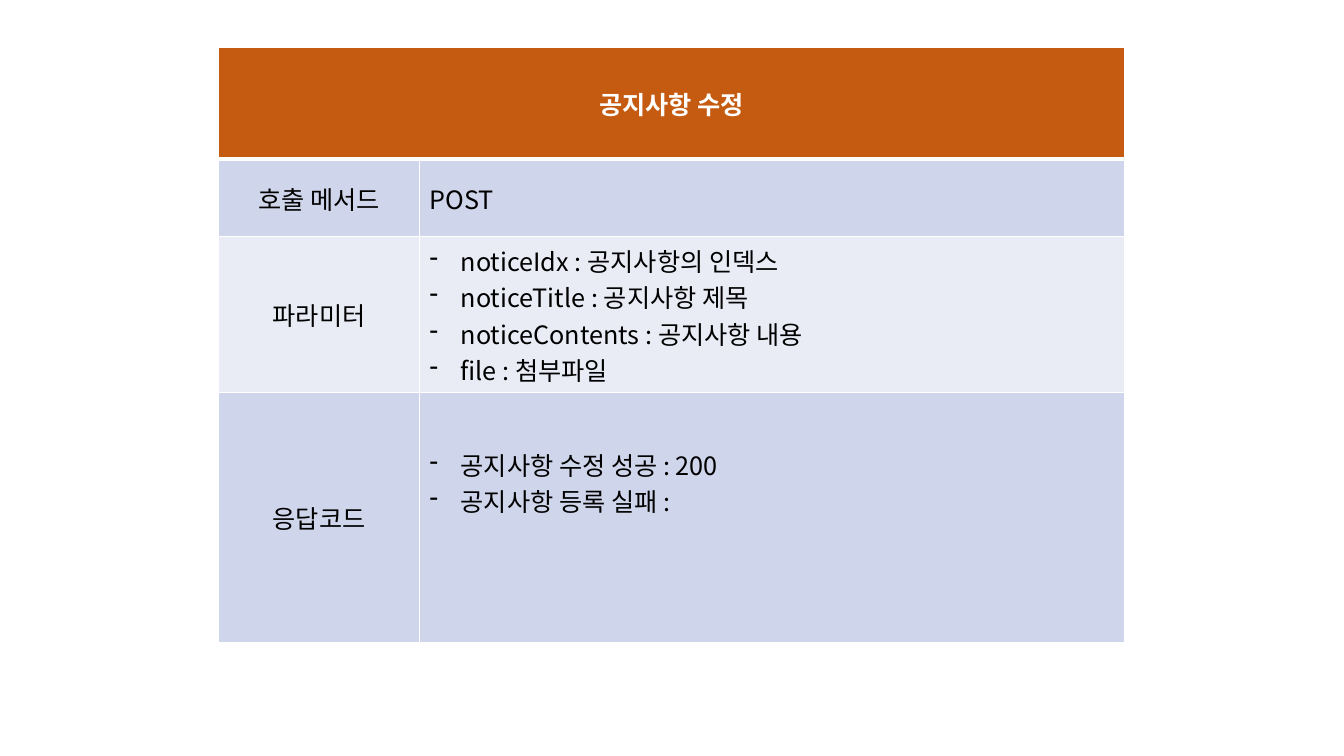
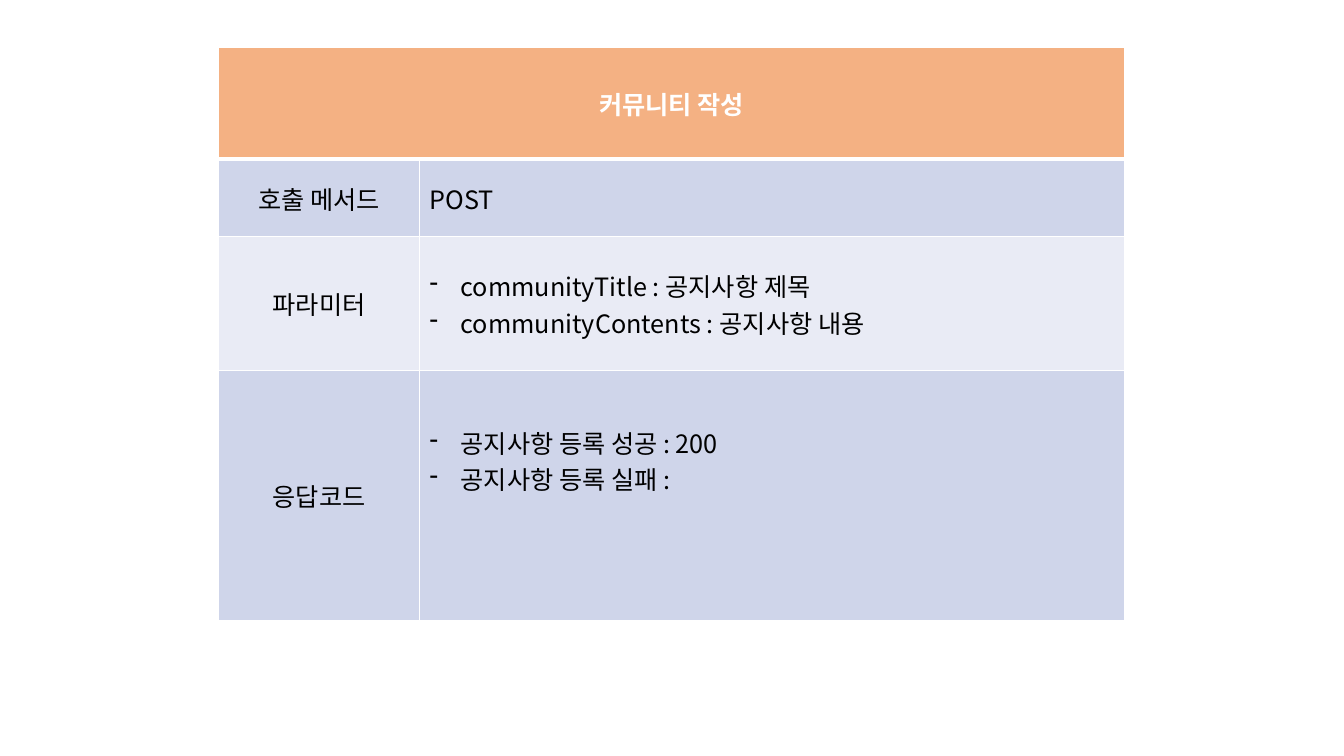
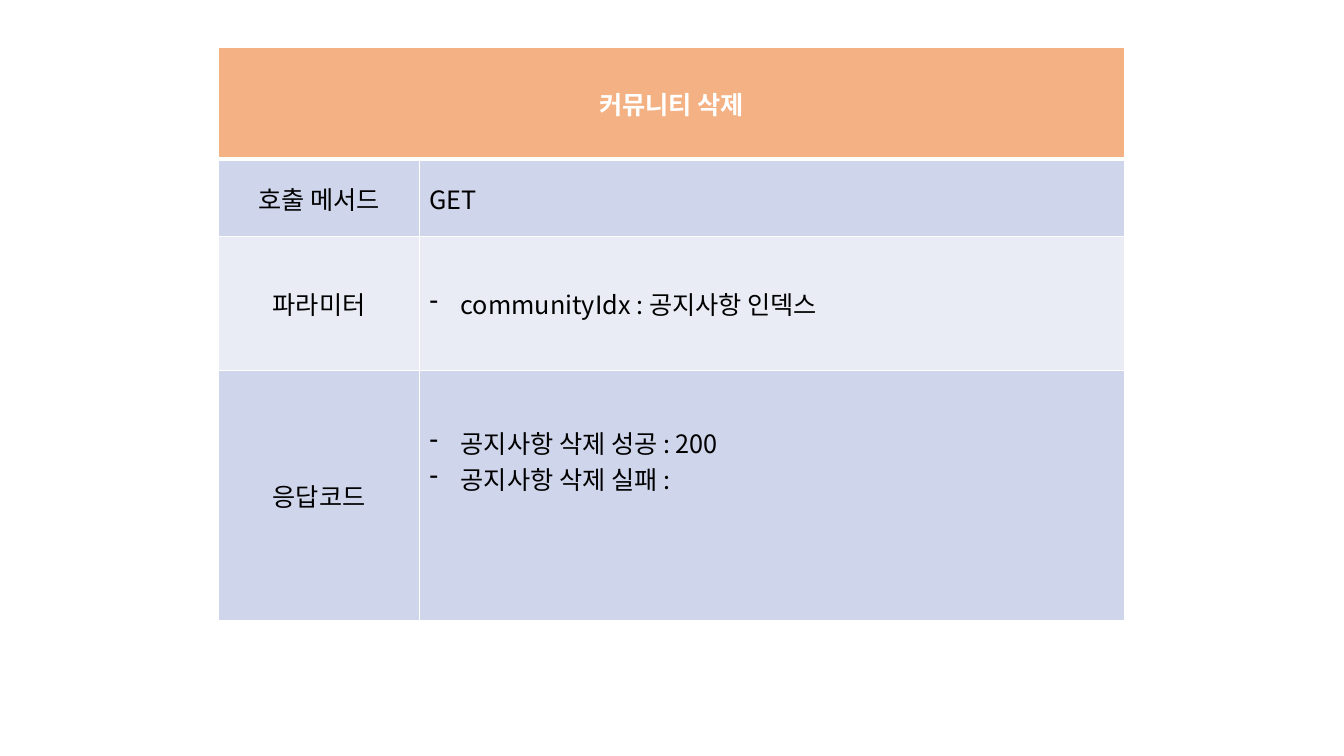
from lxml import etree
from pptx import Presentation
from pptx.dml.color import RGBColor
from pptx.enum.text import MSO_ANCHOR, PP_ALIGN
from pptx.oxml.ns import qn
from pptx.util import Inches, Pt

MIDDLE = MSO_ANCHOR.MIDDLE
LEFT, CENTER = PP_ALIGN.LEFT, PP_ALIGN.CENTER
BLANK_LAYOUT = 6

FONT = "Noto Sans CJK KR"
WHITE, BLACK = "FFFFFF", "000000"
DARK_ORANGE, LIGHT_ORANGE = "C55A11", "F4B183"
BAND_DARK, BAND_LIGHT = "CFD5EA", "E9EBF5"

TABLE_LEFT, TABLE_TOP = 2.17, 0.47
COLUMN_WIDTHS = [1.99, 6.99]
ROW_HEIGHTS = [1.11, 0.77, 1.33, 2.48]
ROW_FILLS = [BAND_DARK, BAND_LIGHT, BAND_DARK]
ROW_LABELS = ["호출 메서드", "파라미터", "응답코드"]
BULLET_INDENT = 0.31
RESPONSE_BOTTOM_MARGIN = 0.75
THIN, THICK = 1, 3

HEADER_FORMAT = {"size": Pt(18), "name": FONT, "bold": True}
BODY_FORMAT = {"size": Pt(18), "name": FONT, "bold": False}

PAGES = [
    {
        "title": "공지사항 수정",
        "accent": DARK_ORANGE,
        "method": "POST",
        "parameters": [
            "noticeIdx : 공지사항의 인덱스",
            "noticeTitle : 공지사항 제목",
            "noticeContents : 공지사항 내용",
            "file : 첨부파일",
        ],
        "responses": ["공지사항 수정 성공 : 200", "공지사항 등록 실패 :"],
    },
    {
        "title": "커뮤니티 작성",
        "accent": LIGHT_ORANGE,
        "method": "POST",
        "parameters": [
            "communityTitle : 공지사항 제목",
            "communityContents : 공지사항 내용",
        ],
        "responses": ["공지사항 등록 성공 : 200", "공지사항 등록 실패 :"],
    },
    {
        "title": "커뮤니티 삭제",
        "accent": LIGHT_ORANGE,
        "method": "GET",
        "parameters": ["communityIdx : 공지사항 인덱스"],
        "responses": ["공지사항 삭제 성공 : 200", "공지사항 삭제 실패 :"],
    },
]


def color(value):
    return RGBColor.from_string(value)


def add_bullet(para):
    properties = para._p.get_or_add_pPr()
    properties.set("marL", str(Inches(BULLET_INDENT)))
    properties.set("indent", str(-Inches(BULLET_INDENT)))
    etree.SubElement(properties, qn("a:buChar")).set("char", "-")


def add_span(para, text, font_format, text_color):
    span = para.add_run()
    span.text = text
    for name, value in font_format.items():
        setattr(span.font, name, value)
    span.font.color.rgb = color(text_color)
    east_asian = etree.SubElement(span._r.get_or_add_rPr(), qn("a:ea"))
    east_asian.set("typeface", FONT)


def add_borders(cell, top, bottom):
    properties = cell._tc.get_or_add_tcPr()
    widths = {"lnL": THIN, "lnR": THIN, "lnT": top, "lnB": bottom}
    for side, width in widths.items():
        line = etree.SubElement(properties, qn("a:" + side))
        line.set("w", str(Pt(width)))
        fill = etree.SubElement(line, qn("a:solidFill"))
        etree.SubElement(fill, qn("a:srgbClr")).set("val", WHITE)


def style_cell(cell, fill, top=THIN, bottom=THIN):
    add_borders(cell, top, bottom)
    cell.fill.solid()
    cell.fill.fore_color.rgb = color(fill)
    cell.vertical_anchor = MIDDLE


def write_cell(cell, lines, align=LEFT, bullets=False,
               font_format=BODY_FORMAT, text_color=BLACK):
    frame = cell.text_frame
    for index, text in enumerate(lines):
        para = frame.add_paragraph() if index else frame.paragraphs[0]
        para.alignment = align
        if bullets:
            add_bullet(para)
        add_span(para, text, font_format, text_color)


def add_grid(slide):
    frame = slide.shapes.add_table(
        len(ROW_HEIGHTS), len(COLUMN_WIDTHS),
        Inches(TABLE_LEFT), Inches(TABLE_TOP),
        Inches(sum(COLUMN_WIDTHS)), Inches(sum(ROW_HEIGHTS)))
    table = frame.table
    for column, width in zip(table.columns, COLUMN_WIDTHS):
        column.width = Inches(width)
    for row, height in zip(table.rows, ROW_HEIGHTS):
        row.height = Inches(height)
    return table


def add_endpoint_slide(deck, page):
    slide = deck.slides.add_slide(deck.slide_layouts[BLANK_LAYOUT])
    table = add_grid(slide)
    for cell in table.rows[0].cells:
        style_cell(cell, page["accent"], bottom=THICK)
    header = table.cell(0, 0)
    header.merge(table.cell(0, 1))
    write_cell(header, [page["title"]], CENTER,
               font_format=HEADER_FORMAT, text_color=WHITE)

    contents = [[page["method"]], page["parameters"], page["responses"]]
    body = zip(ROW_LABELS, contents, ROW_FILLS)
    for row, (label, lines, fill) in enumerate(body, start=1):
        top = THICK if row == 1 else THIN
        for cell in table.rows[row].cells:
            style_cell(cell, fill, top=top)
        write_cell(table.cell(row, 0), [label], CENTER)
        write_cell(table.cell(row, 1), lines, bullets=row > 1)
    table.cell(3, 1).margin_bottom = Inches(RESPONSE_BOTTOM_MARGIN)


def main():
    deck = Presentation()
    deck.slide_width = Inches(13.33)
    deck.slide_height = Inches(7.5)
    for page in PAGES:
        add_endpoint_slide(deck, page)
    deck.save("out.pptx")


if __name__ == "__main__":
    main()
